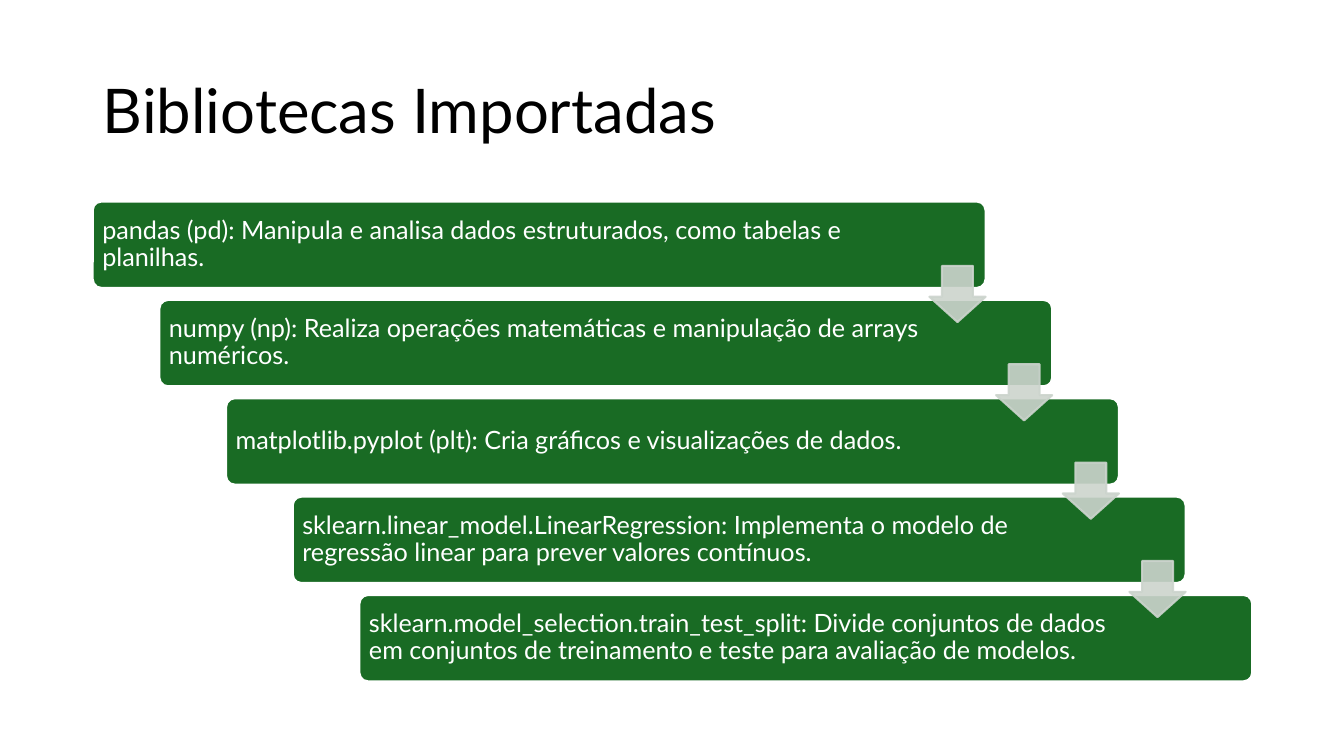
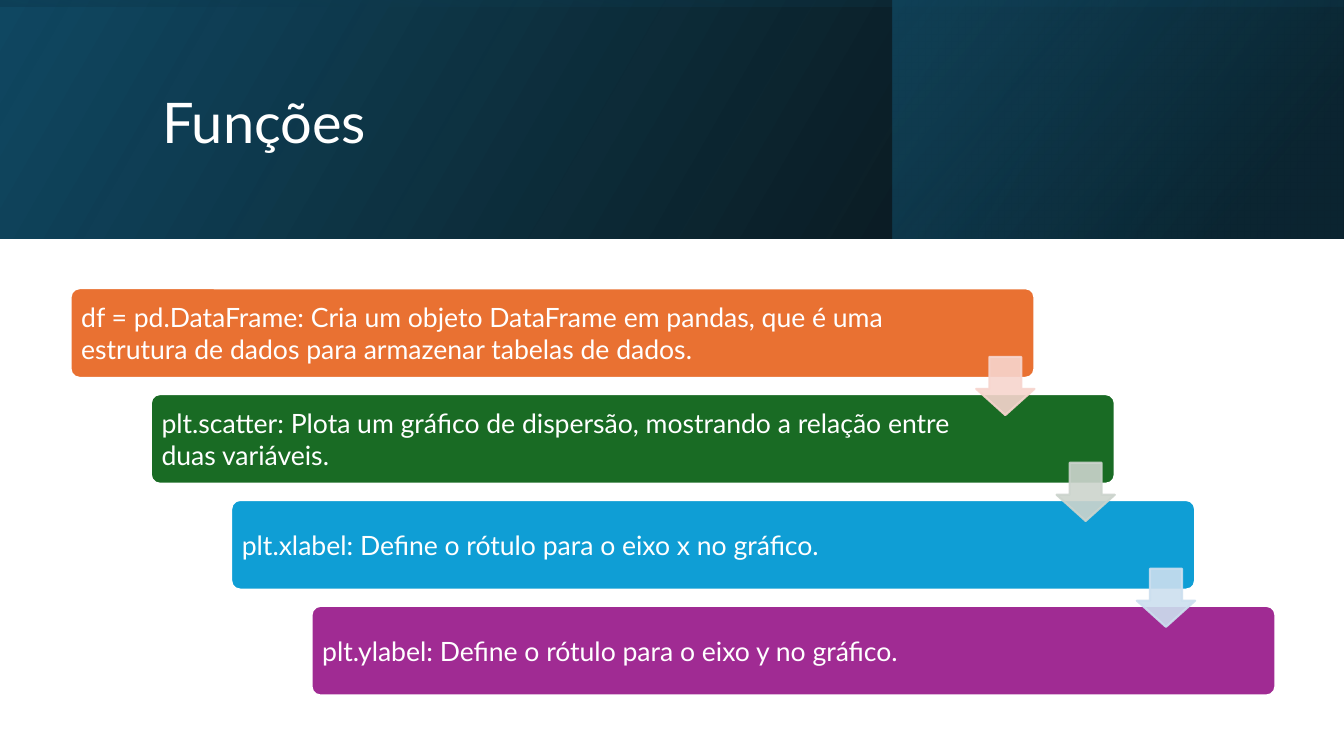
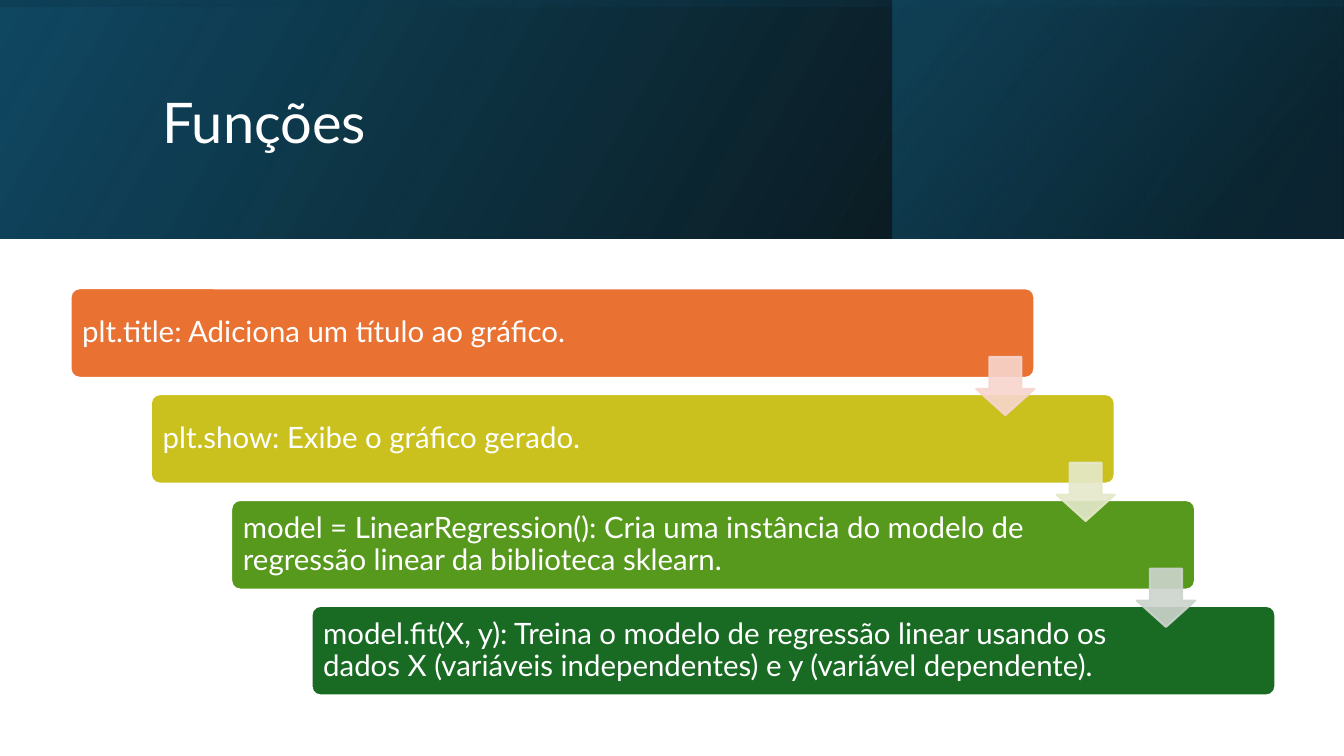
from lxml.etree import SubElement
from pptx import Presentation
from pptx.dml.color import RGBColor
from pptx.enum.shapes import MSO_SHAPE as Preset
from pptx.enum.text import MSO_ANCHOR as Anchor, MSO_AUTO_SIZE as AutoSize, PP_ALIGN as Align
from pptx.oxml import parse_xml
from pptx.oxml.ns import nsdecls, qn
from pptx.util import Inches, Pt

WIDTH, HEIGHT = 13.33, 7.5
FONT = "Lato"
COLORS = {
    "black": "000000", "white": "FFFFFF",
    "orange": "E97132", "green": "196B24", "blue": "0F9ED5",
    "purple": "A02B93", "yellow": "CBC11E", "lime": "56991D",
    "navy": "104862", "deep": "0B3041", "teal": "156082",
}
# Pale arrow that follows a bar of each colour
ARROWS = {"orange": "F7D5CE", "green": "CCD4CD", "blue": "CCDFEF", "yellow": "E5E8CA"}

BAND = (0, 0, WIDTH, 2.37)
PLAIN = {"band": None, "title_box": (0.92, 0.4, 11.5, 1.45),
         "title_size": 44, "title_color": "black"}
BANDED = {"band": BAND, "title_box": (1.51, 0.38, 10.63, 1.72),
          "title_size": 40, "title_color": "white"}
WIDE = {"box": (0.92, 2, 11.5, 4.76), "bar_share": (0.77, 0.18)}
LOW = {"box": (0.7, 2.86, 11.95, 4.04), "bar_share": (0.8, 0.22)}

SLIDES = [
    {"title": "Bibliotecas Importadas", "look": PLAIN, "cascade": WIDE,
     "text": {"size": 18, "spacing": 0.9, "inset": 0.07},
     "steps": [
         ("green", "pandas (pd): Manipula e analisa dados estruturados, como tabelas e planilhas."),
         ("green", "numpy (np): Realiza operações matemáticas e manipulação de arrays numéricos."),
         ("green", "matplotlib.pyplot (plt): Cria gráficos e visualizações de dados."),
         ("green", "sklearn.linear_model.LinearRegression: Implementa o modelo de "
                   "regressão linear para prever valores contínuos."),
         ("green", "sklearn.model_selection.train_test_split: Divide conjuntos de dados "
                   "em conjuntos de treinamento e teste para avaliação de modelos."),
     ]},
    {"title": "Funções", "look": BANDED, "cascade": LOW,
     "text": {"size": 19, "spacing": 1.0, "inset": 0.08},
     "steps": [
         ("orange", "df = pd.DataFrame: Cria um objeto DataFrame em pandas, que é uma "
                    "estrutura de dados para armazenar tabelas de dados."),
         ("green", "plt.scatter: Plota um gráfico de dispersão, mostrando a relação entre "
                   "duas variáveis."),
         ("blue", "plt.xlabel: Define o rótulo para o eixo x no gráfico."),
         ("purple", "plt.ylabel: Define o rótulo para o eixo y no gráfico."),
     ]},
    {"title": "Funções", "look": BANDED, "cascade": LOW,
     "text": {"size": 21, "spacing": 0.9, "inset": 0.09},
     "steps": [
         ("orange", "plt.title: Adiciona um título ao gráfico."),
         ("yellow", "plt.show: Exibe o gráfico gerado."),
         ("lime", "model = LinearRegression(): Cria uma instância do modelo de "
                  "regressão linear da biblioteca sklearn."),
         ("green", "model.fit(X, y): Treina o modelo de regressão linear usando os "
                   "dados X (variáveis independentes) e y (variável dependente)."),
     ]},
]
ARROWS["lime"] = ARROWS["green"]


def set_all(target, values):
    for name, value in values.items():
        setattr(target, name, value)


def place(shape, box):
    set_all(shape, dict(zip(("left", "top", "width", "height"), map(Inches, box))))


def write(shape, text, size, color, spacing, insets):
    """Fill a shape with one left-aligned, vertically centred paragraph."""
    frame = shape.text_frame
    set_all(frame, {"word_wrap": True, "auto_size": AutoSize.NONE,
                    "vertical_anchor": Anchor.MIDDLE})
    sides = ("margin_left", "margin_top", "margin_right", "margin_bottom")
    set_all(frame, dict(zip(sides, map(Inches, insets))))
    para = frame.paragraphs[0]
    set_all(para, {"alignment": Align.LEFT, "line_spacing": spacing})
    span = para.add_run()
    span.text = text
    set_all(span.font, {"name": FONT, "size": Pt(size)})
    span.font.color.rgb = RGBColor.from_string(COLORS[color])


def add_preset(page, preset, box, fill, line, adjustments=()):
    shape = page.shapes.add_shape(preset, *map(Inches, box))
    shape.shadow.inherit = False
    for index, value in enumerate(adjustments):
        shape.adjustments[index] = value
    shape.fill.solid()
    shape.fill.fore_color.rgb = RGBColor.from_string(fill)
    shape.line.color.rgb = RGBColor.from_string(line)
    shape.line.width = Pt(1.5)
    return shape


def set_opacity(shape, percent):
    for color in shape.element.spPr.iter(qn("a:srgbClr")):
        SubElement(color, qn("a:alpha")).set("val", str(percent * 1000))


def add_gradient(page, box, angle, stops, rotation=0):
    """Add a mirrored gradient rectangle behind the title."""
    shape = page.shapes.add_shape(Preset.RECTANGLE, *map(Inches, box))
    shape.shadow.inherit = False
    shape.rotation = rotation
    shape.line.fill.background()
    properties = shape.element.spPr
    properties.xfrm.set("flipH", "1")
    stop_xml = "".join(
        f'<a:gs pos="{share * 1000}"><a:srgbClr val="{COLORS[color]}">'
        f'<a:alpha val="{opacity * 1000}"/></a:srgbClr></a:gs>'
        for share, color, opacity in stops)
    properties.find(qn("a:prstGeom")).addnext(parse_xml(
        f'<a:gradFill {nsdecls("a")} rotWithShape="1"><a:gsLst>{stop_xml}</a:gsLst>'
        f'<a:lin ang="{angle * 60000}" scaled="0"/></a:gradFill>'))
    page.shapes.title.element.addprevious(shape.element)


def add_band(page, box):
    left, top, width, height = box
    right_part = width * 0.336
    # An upright strip turned on its side covers the band
    turned = (left + (width - height) / 2, top + (height - width) / 2, height, width)
    add_gradient(page, box, 330, [(0, "black", 96), (100, "navy", 100)])
    add_gradient(page, (left + width - right_part, top, right_part, height), 320,
                 [(19, "deep", 68), (100, "teal", 48)])
    add_gradient(page, turned, 350, [(23, "navy", 16), (99, "black", 45)], rotation=270)


def add_header(page, title, look):
    if look["band"]:
        add_band(page, look["band"])
    place(page.shapes.title, look["title_box"])
    write(page.shapes.title, title, look["title_size"], look["title_color"],
          0.9, (0.1, 0.05, 0.1, 0.05))


def add_cascade(page, steps, text, box, bar_share):
    """Lay bars stepping down to the right, with an arrow across each gap."""
    left, top, width, height = box
    bar_width, bar_height = width * bar_share[0], height * bar_share[1]
    step_x = (width - bar_width) / (len(steps) - 1)
    step_y = (height - bar_height) / (len(steps) - 1)
    arrow = bar_height * 0.65
    inset = text["inset"]

    # Bars: text stays clear of the arrows at the right end
    for index, (color, words) in enumerate(steps):
        bar = add_preset(page, Preset.ROUNDED_RECTANGLE,
                         (left + index * step_x, top + index * step_y, bar_width, bar_height),
                         COLORS[color], COLORS["white"], [0.1])
        reserve = arrow + step_x if index else 0.98
        write(bar, words, text["size"], "white", text["spacing"],
              (inset, inset, inset + reserve, inset))

    # Arrows: centred on the gap, flush with the upper bar's right edge
    for index, (color, _) in enumerate(steps[:-1]):
        arrow_left = left + index * step_x + bar_width - arrow
        arrow_top = top + index * step_y + (bar_height + step_y - arrow) / 2
        pointer = add_preset(page, Preset.DOWN_ARROW, (arrow_left, arrow_top, arrow, arrow),
                             ARROWS[color], ARROWS[color], [0.55, 0.45])
        set_opacity(pointer, 90)


def main():
    deck = Presentation()
    set_all(deck, {"slide_width": Inches(WIDTH), "slide_height": Inches(HEIGHT)})
    for content in SLIDES:
        page = deck.slides.add_slide(deck.slide_layouts[5])
        add_header(page, content["title"], content["look"])
        add_cascade(page, content["steps"], content["text"], **content["cascade"])
    deck.save("out.pptx")


if __name__ == "__main__":
    main()
